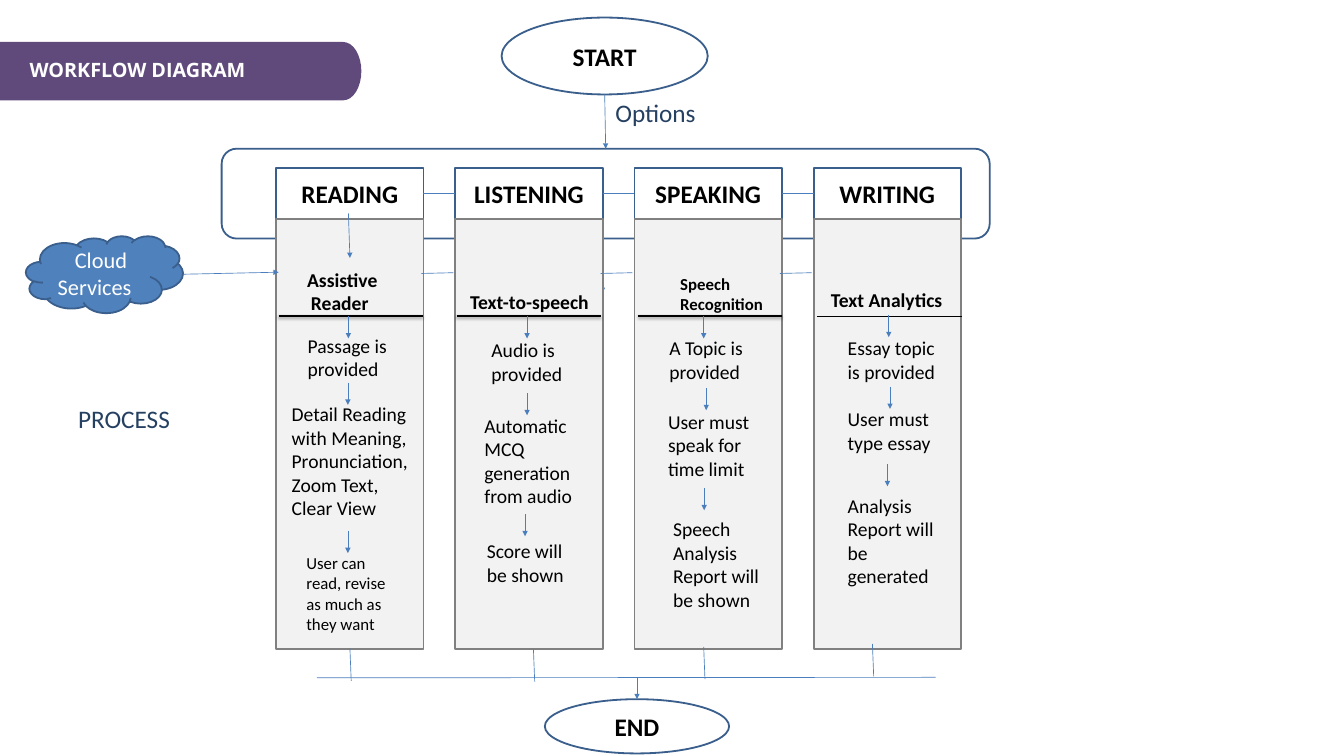
from dataclasses import dataclass
from math import cos, pi, sin

from lxml.etree import SubElement as Sub
from pptx import Presentation
from pptx.dml.color import RGBColor as RGB
from pptx.enum.shapes import MSO_CONNECTOR as Link, MSO_SHAPE as Kind
from pptx.enum.text import MSO_ANCHOR as Anchor, MSO_AUTO_SIZE as Fit, PP_ALIGN as Align
from pptx.oxml.ns import qn
from pptx.util import Cm, Pt


@dataclass(frozen=True)
class Theme:
    """Colours, fonts and type sizes of the slide."""
    body: str = "Calibri"
    head: str = "Open Sans"
    white: str = "FFFFFF"
    black: str = "000000"
    navy: str = "254061"
    edge: str = "3A5F8C"
    wire: str = "4B7EBC"
    cloud: str = "4F81BD"
    panel: str = "F2F2F2"
    gray: str = "808080"
    plum: str = "604A7B"
    big: float = 28.1
    mid: float = 24.9
    title: float = 22
    text: float = 21.8
    small: float = 18.7


T = Theme()
WIDE, GAP = 5.79, 7.04
STEP, TIP = 4.29, 0.87

# Each column: head, tool (text, x, y, size), rule (x, width in points),
# steps (text, x, y, w, h, size), arrows (x, y), stem (x, y)
COLS = [
    dict(head="READING", tool=("Assistive\nReader", 0.97, 3.78, T.text), rule=(0.1, 2),
         steps=[("Passage is provided", 0.99, 6.38, STEP, 2.13, T.text),
                ("Detail Reading with Meaning,\nPronunciation,\nZoom Text,\nClear View",
                 0.36, 9.07, 6.12, 5.87, T.text),
                ("User can read, revise as much as they want", 0.94, 14.99, 4.06, 3.45, T.small)],
         arrows=[(2.84, 5.82), (2.82, 8.43), (2.82, 14.25)], stem=(2.9, 18.87)),
    dict(head="LISTENING", tool=("Text-to-speech", 0.33, 4.67, T.text), rule=(0.05, 2),
         steps=[("Audio is provided", 1.17, 6.55, STEP, 2.13, T.text),
                ("Automatic\nMCQ generation from audio", 0.89, 9.53, STEP, 3.99, T.text),
                ("Score will be shown", 0.99, 14.45, STEP, 2.13, T.text)],
         arrows=[(2.82, 5.82), (2.82, 8.84), (2.74, 13.59)], stem=(3.07, 18.9)),
    dict(head="SPEAKING", tool=("Speech Recognition", 1.55, 4.01, T.small), rule=(0.13, 2),
         steps=[("A Topic is provided", 1.12, 6.48, STEP, 2.13, T.text),
                ("User must speak for time limit", 1.07, 9.37, STEP, 3.05, T.text),
                ("Speech Analysis Report will be shown", 1.27, 13.59, STEP, 3.99, T.text)],
         arrows=[(2.72, 5.82), (2.82, 8.64), (2.74, 12.57)], stem=(2.72, 18.8)),
    dict(head="WRITING", tool=("Text Analytics", 0.43, 4.6, T.text), rule=(0.15, 0.75),
         steps=[("Essay topic is provided", 1.09, 6.48, STEP, 2.13, T.text),
                ("User must type essay", 1.09, 9.27, STEP, 2.13, T.text),
                ("Analysis Report will be generated", 1.09, 12.67, STEP, 3.99, T.text)],
         arrows=[(2.95, 5.77), (3, 8.59), (2.9, 11.63)], stem=(2.31, 18.69)),
]


def style(frame, text, size, color, bold=False, font=T.body, align=Align.LEFT):
    """Fill a text frame and format its runs."""
    frame.text = text
    frame.word_wrap = True
    for para in frame.paragraphs:
        para.alignment = align
        for run in para.runs:
            run.font.name, run.font.size, run.font.bold = font, Pt(size), bold
            run.font.color.rgb = RGB.from_string(color)


def indent(para, size):
    """Indent the first line of a paragraph."""
    prop = para._p.get_or_add_pPr()
    prop.set("marL", "0")
    prop.set("indent", str(Cm(size)))


def note(shapes, text, x, y, w, h, size=T.text, color=T.black, bold=False):
    """Add a text box that grows with its text."""
    box = shapes.add_textbox(Cm(x), Cm(y), Cm(w), Cm(h))
    style(box.text_frame, text, size, color, bold)
    box.text_frame.auto_size = Fit.SHAPE_TO_FIT_TEXT
    return box


def block(shapes, kind, x, y, w, h, text="", fill=T.white, edge=T.edge):
    """Add an outlined shape with a bold centred label."""
    box = shapes.add_shape(kind, Cm(x), Cm(y), Cm(w), Cm(h))
    box.shadow.inherit = False
    box.fill.solid()
    box.fill.fore_color.rgb = RGB.from_string(fill)
    box.line.color.rgb = RGB.from_string(edge)
    box.line.width = Pt(2)
    frame = box.text_frame
    frame.margin_left = frame.margin_right = Cm(0.4)
    frame.margin_top = frame.margin_bottom = Cm(0.2)
    frame.vertical_anchor = Anchor.MIDDLE
    if text:
        style(frame, text, T.big, T.black, True, align=Align.CENTER)
    return box


def wire(shapes, x, y, to_x, to_y, tip=False, color=T.wire, width=0.75, shade=False):
    """Add a straight line, with an arrowhead or a soft shadow if asked."""
    line = shapes.add_connector(Link.STRAIGHT, Cm(x), Cm(y), Cm(to_x), Cm(to_y))
    line.line.color.rgb = RGB.from_string(color)
    line.line.width = Pt(width)
    prop = line.element.spPr
    if tip:
        Sub(prop.find(qn("a:ln")), qn("a:tailEnd"), type="triangle")
    effect = Sub(prop, qn("a:effectLst"))
    if shade:
        cast = Sub(effect, qn("a:outerShdw"), blurRad=str(Pt(3.1)), dist=str(Pt(1.6)),
                   dir="5400000", rotWithShape="0")
        Sub(Sub(cast, qn("a:srgbClr"), val=T.black), qn("a:alpha"), val="38000")
    return line


def banner(slide, x, y, w, h):
    """Draw the title band with its rounded end and place the title on it."""
    end, half = 0.71, h / 2
    arc = [(x + w - end + end * cos(a), y + half + half * sin(a))
           for a in (pi * (i / 16 - 0.5) for i in range(17))]
    form = slide.shapes.build_freeform(Cm(x), Cm(y), scale=1.0)
    form.add_line_segments([(Cm(a), Cm(b)) for a, b in arc + [(x, y + h)]])
    band = form.convert_to_shape()
    band.shadow.inherit = False
    band.fill.solid()
    band.fill.fore_color.rgb = RGB.from_string(T.plum)
    band.line.fill.background()
    title = slide.shapes.title
    title.left, title.top, title.width, title.height = Cm(x + 0.91), Cm(y + 0.51), Cm(9.5), Cm(1.19)
    style(title.text_frame, "WORKFLOW DIAGRAM", T.title, T.white, True, T.head)
    title.text_frame.vertical_anchor = Anchor.TOP
    title.text_frame.auto_size = Fit.NONE
    title.element.getparent().append(title.element)


def top(shapes, x, y):
    """Draw the start, the options frame and the linked column heads."""
    start = block(shapes, Kind.OVAL, x + 11, y, 8.1, 3.02, "START")
    frame = block(shapes, Kind.ROUNDED_RECTANGLE, x, y + 5.15, 30.18, 3.53)
    arrow = wire(shapes, x, y, x, y, True)
    arrow.begin_connect(start, 2)
    arrow.end_connect(frame, 0)
    note(shapes, "Options", x + 15.22, y + 3.02, 5.31, 1.45, T.big, T.navy)
    heads = [block(shapes, Kind.RECTANGLE, x + 2.14 + GAP * i, y + 5.91, WIDE, 2.01, col["head"])
             for i, col in enumerate(COLS)]
    for left, right in zip(heads, heads[1:]):
        link = wire(shapes, x, y, x, y)
        link.begin_connect(left, 3)
        link.end_connect(right, 1)
    wire(shapes, x + 14.96, y + 8.68, x + 14.96, y + 10.82, True)


def column(shapes, col, x, y):
    """Draw the panel of one skill with its tool, steps and arrows."""
    block(shapes, Kind.RECTANGLE, x, y + 2.01, WIDE, 16.87, fill=T.panel, edge=T.gray)
    text, dx, dy, size = col["tool"]
    lines = 1 if dy > 4.5 else 2
    tool = note(shapes, text, x + dx, y + dy, 5.64, 0.25 + 0.94 * lines, size, bold=True)
    for para in tool.text_frame.paragraphs[1:]:
        indent(para, 0.15)
    dx, width = col["rule"]
    wire(shapes, x + dx, y + 5.82, x + dx + 5.67, y + 5.82, False, T.black, width, width > 1)
    for text, dx, dy, w, h, size in col["steps"]:
        note(shapes, text, x + dx, y + dy, w, h, size)
    for dx, dy in col["arrows"]:
        wire(shapes, x + dx, y + dy, x + dx, y + dy + TIP, True)
    dx, dy = col["stem"]
    wire(shapes, x + dx, y + dy, x + dx + 0.05, y + dy + 1.27)


def side(shapes, x, y):
    """Draw the cloud, its arrow and the process label."""
    cloud = block(shapes, Kind.CLOUD, x, y, 6.17, 3.02, fill=T.cloud)
    style(cloud.text_frame, "Cloud Services", T.mid, T.white)
    indent(cloud.text_frame.paragraphs[0], 0.67)
    wire(shapes, x + 6.17, y + 1.5, x + 9.93, y + 1.42, True)
    note(shapes, "PROCESS", x + 1.8, y + 6.45, 5.31, 1.45, T.big, T.navy)


def foot(shapes, x, y):
    """Draw the closing bar and the end."""
    wire(shapes, x, y + 0.02, x + 24.31, y)
    end = block(shapes, Kind.OVAL, x + 8.96, y + 0.86, 7.24, 2.13, "END")
    wire(shapes, x + 12.58, y, x + 12.58, y + 0.86, True).end_connect(end, 0)


def main():
    """Build the slide and save it."""
    deck = Presentation()
    deck.slide_width, deck.slide_height = Cm(52.81), Cm(29.69)
    slide = deck.slides.add_slide(deck.slide_layouts[5])
    shapes = slide.shapes
    x, y = 10.85, 6.6
    top(shapes, 8.71, 0.69)
    for i, col in enumerate(COLS):
        column(shapes, col, x + GAP * i, y)
    for i in range(1, len(COLS)):
        wire(shapes, x + GAP * (i - 1) + WIDE - 0.08, y + 4.14, x + GAP * i - 0.08, y + 4.11)
    wire(shapes, x + 2.84, y + 1.78, x + 2.9, y + 3.53, True)
    side(shapes, 1.02, 9.27)
    foot(shapes, 12.45, 26.6)
    banner(slide, 0, 1.65, 14.2, 2.29)
    deck.save("out.pptx")


if __name__ == "__main__":
    main()
